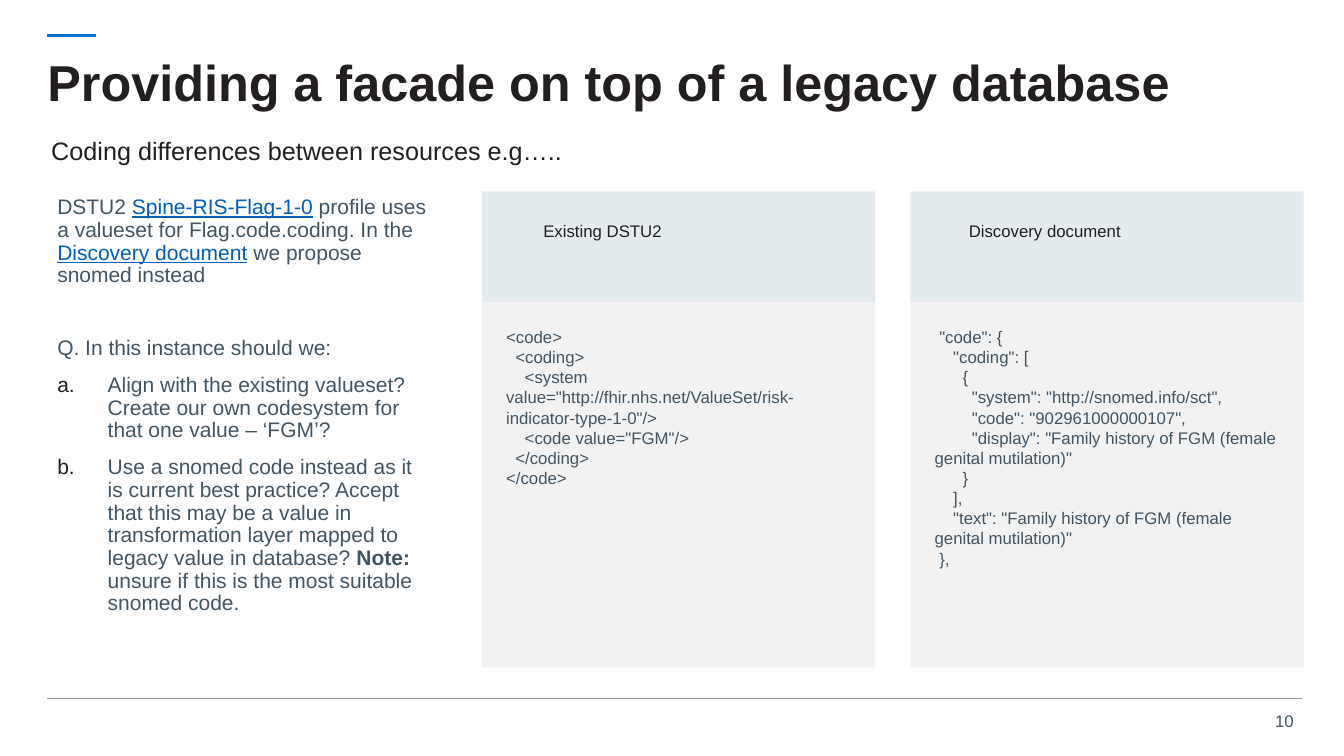
from lxml import etree
from pptx import Presentation
from pptx.dml.color import RGBColor
from pptx.enum.shapes import MSO_CONNECTOR as Connector, MSO_SHAPE as Shape
from pptx.enum.text import MSO_ANCHOR as Anchor, PP_ALIGN as Align
from pptx.oxml.ns import qn
from pptx.util import Inches, Pt

INK, SLATE, LINK = "231F20", "425563", "005EB8"
HEADER_FILL, CODE_FILL = "E4EBEE", "F2F2F2"

PANELS = [
    (4.78, 5.29, "Existing DSTU2", """<code>
  <coding>
    <system     value="http://fhir.nhs.net/ValueSet/risk-indicator-type-1-0"/>
    <code value="FGM"/>
  </coding>
</code>"""),
    (9.03, 9.51, "Discovery document", """ "code": {
    "coding": [
      {
        "system": "http://snomed.info/sct",
        "code": "902961000000107",
        "display": "Family history of FGM (female genital mutilation)"
      }
    ],
    "text": "Family history of FGM (female genital mutilation)"
 },"""),
]

INTRO = [
    ("DSTU2 ", ""),
    ("Spine-RIS-Flag-1-0", "link"),
    (" profile uses a valueset for Flag.code.coding. In the ", ""),
    ("Discovery document", "link"),
    (" we propose snomed instead", ""),
]
QUESTION = [("Q. In this instance should we:", "")]
OPTIONS = [
    [("Align with the existing valueset? Create our own codesystem for that one value – ‘FGM’?", "")],
    [
        ("Use a snomed code instead as it is current best practice? Accept that this may be a value in "
         "transformation layer mapped to legacy value in database? ", ""),
        ("Note:", "bold"),
        (" unsure if this is the most suitable snomed code.", ""),
    ],
]


def color(value):
    """Turn a hex string into a colour."""
    return RGBColor.from_string(value)


def style(font, size, ink, bold=False):
    """Set the face, size and colour of a font."""
    font.name, font.size, font.bold = "Arial", Pt(size), bold
    font.color.rgb = color(ink)


def style_frame(frame, size, ink, bold=False):
    """Format every run of a text frame."""
    for para in frame.paragraphs:
        for span in para.runs:
            style(span.font, size, ink, bold)


def set_insets(frame, inset):
    """Give all four sides of a frame the same inset."""
    frame.margin_left = frame.margin_right = Inches(inset)
    frame.margin_top = frame.margin_bottom = Inches(inset)


def add_text(page, area, text, size, ink, bold=False):
    """Add a wrapping text box and return its frame."""
    frame = page.shapes.add_textbox(*map(Inches, area)).text_frame
    frame.word_wrap = True
    frame.text = text
    style_frame(frame, size, ink, bold)
    return frame


def add_block(page, area, fill):
    """Add a plain filled rectangle."""
    block = page.shapes.add_shape(Shape.RECTANGLE, *map(Inches, area))
    block.shadow.inherit = False
    block.fill.solid()
    block.fill.fore_color.rgb = color(fill)
    block.line.fill.background()
    return block


def add_rule(page, left, right, top, ink, width):
    """Add a horizontal line."""
    rule = page.shapes.add_connector(
        Connector.STRAIGHT, Inches(left), Inches(top), Inches(right), Inches(top))
    rule.line.color.rgb = color(ink)
    rule.line.width = Pt(width)
    etree.SubElement(rule._element.spPr, qn("a:effectLst"))


def add_panel(page, left, label_left, label, code):
    """Add a header band with its label above a block of code."""
    add_block(page, (left, 1.9, 3.9, 1.1), HEADER_FILL)
    block = add_block(page, (left, 3, 3.9, 3.62), CODE_FILL)
    frame = block.text_frame
    frame.word_wrap = True
    frame.vertical_anchor = Anchor.TOP
    set_insets(frame, 0.24)
    frame.text = code
    for para in frame.paragraphs:
        para.alignment = Align.LEFT
    style_frame(frame, 12, SLATE)
    add_text(page, (label_left, 2.14, 3.22, 0.3), label, 12, INK)


def add_letter(para):
    """Number a paragraph with letters and a hanging indent."""
    props = para._p.get_or_add_pPr()
    props.set("marL", str(Inches(0.5)))
    props.set("indent", str(-Inches(0.5)))
    tint = etree.SubElement(props, qn("a:buClr"))
    etree.SubElement(tint, qn("a:srgbClr"), val=INK)
    etree.SubElement(props, qn("a:buFont"), typeface="Arial")
    etree.SubElement(props, qn("a:buAutoNum"), type="alphaLcPeriod")


def fill_para(para, spans, space_before):
    """Write the spans of one discussion paragraph."""
    para.line_spacing = 0.9
    para.space_before = Pt(space_before)
    for text, kind in spans:
        span = para.add_run()
        span.text = text
        style(span.font, 15, LINK if kind == "link" else SLATE, kind == "bold")
        span.font.underline = kind == "link"


def add_discussion(page):
    """Add the introduction, the question and its lettered options."""
    frame = add_text(page, (0.47, 1.9, 3.9, 4.72), "", 15, SLATE)
    fill_para(frame.paragraphs[0], INTRO, 0)
    fill_para(frame.add_paragraph(), QUESTION, 36)
    for option in OPTIONS:
        para = frame.add_paragraph()
        add_letter(para)
        fill_para(para, option, 10)


def main():
    """Build the slide and save it."""
    deck = Presentation()
    deck.slide_width, deck.slide_height = Inches(13.33), Inches(7.5)
    page = deck.slides.add_slide(deck.slide_layouts[6])

    add_rule(page, 0.47, 0.95, 0.35, "0072CE", 2)
    add_rule(page, 0.47, 12.91, 6.93, "919EA8", 0.5)

    title = add_text(page, (0.47, 0.47, 12.47, 0.76),
                     "Providing a facade on top of a legacy database", 36, INK, True)
    set_insets(title, 0)
    title.vertical_anchor = Anchor.MIDDLE
    title.paragraphs[0].line_spacing = 0.9
    add_text(page, (0.41, 1.29, 12.73, 0.71),
             "Coding differences between resources e.g…..", 18, INK)

    add_discussion(page)
    for panel in PANELS:
        add_panel(page, *panel)

    number = add_text(page, (12.52, 7, 0.41, 0.3), "10", 12, SLATE)
    number.word_wrap = False
    number.paragraphs[0].alignment = Align.RIGHT
    deck.save("out.pptx")


if __name__ == "__main__":
    main()
